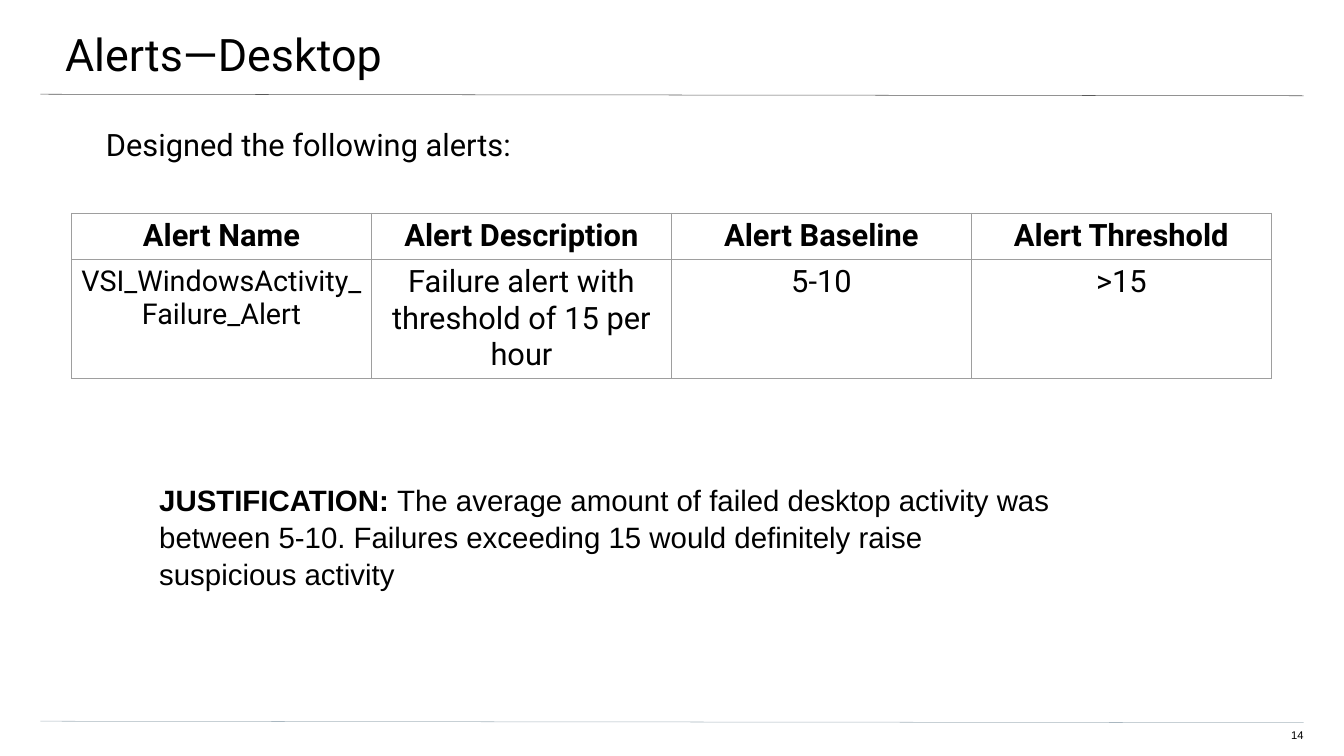
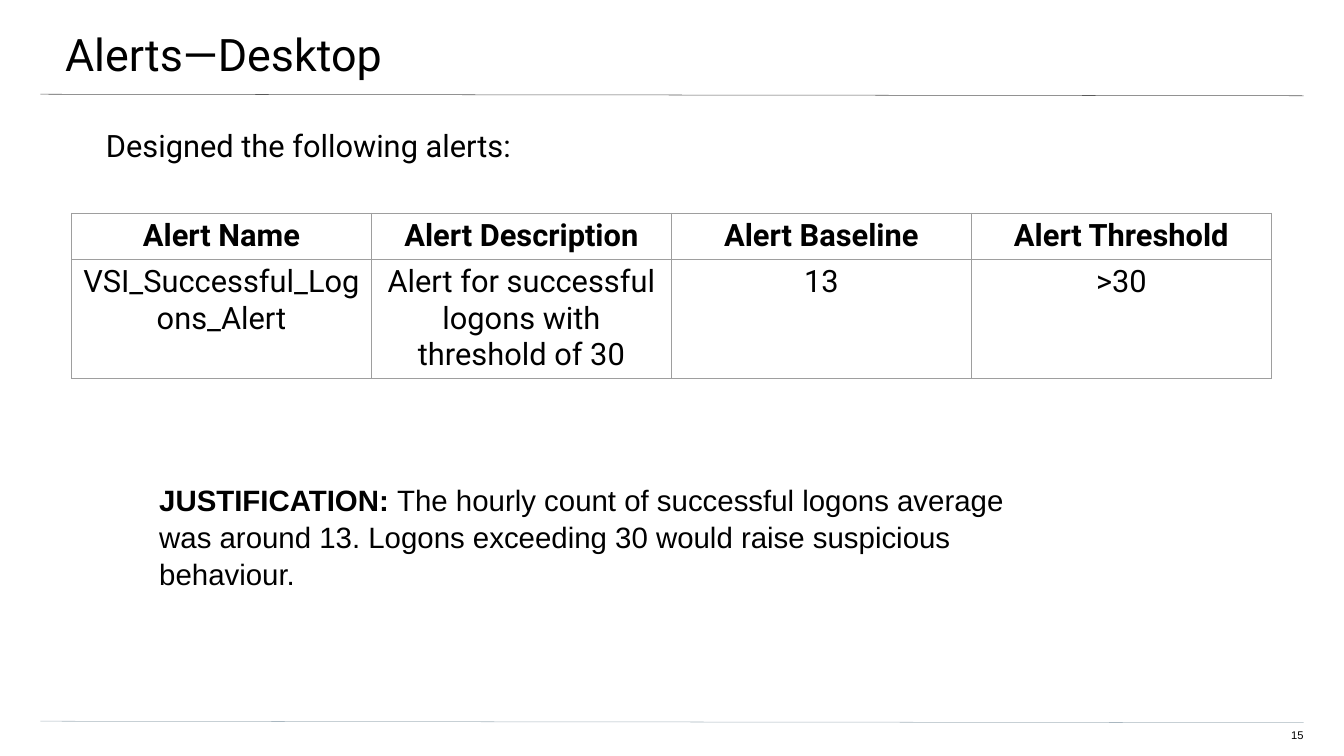
from dataclasses import dataclass

from lxml import etree
from pptx import Presentation
from pptx import util as u
from pptx.dml.color import RGBColor
from pptx.enum import shapes, text
from pptx.oxml import ns


@dataclass(frozen=True)
class Theme:
    ink: str = "000000"
    rule: str = "595959"
    base: str = "A9B7C0"
    grid: str = "9E9E9E"
    head: str = "Roboto"
    note: str = "Arial"
    title: int = 64
    body: int = 44
    small: int = 41
    reason: int = 42
    page: int = 16
    line: float = 0.75


LOOK = Theme()
PAD = (0.1, 0.1, 0.1, 0.1)
HEADS = ("Alert Name", "Alert Description", "Alert Baseline", "Alert Threshold")
ALERTS = (
    dict(
        page="14",
        top=2.49,
        row=("VSI_WindowsActivity_Failure_Alert",
             "Failure alert with threshold of 15 per hour", "5-10", ">15"),
        size=LOOK.small,
        tall=2.32,
        reason="The average amount of failed desktop activity was between 5-10. "
               "Failures exceeding 15 would definitely raise suspicious activity",
    ),
    dict(
        page="15",
        top=2.51,
        row=("VSI_Successful_Logons_Alert",
             "Alert for successful logons with threshold of 30", "13", ">30"),
        size=LOOK.body,
        tall=3.03,
        reason="The hourly count of successful logons average was around 13. "
               "Logons exceeding 30 would raise suspicious behaviour.",
    ),
)


def style(run, size, face, bold=False):
    font = run.font
    font.size, font.name, font.bold = u.Pt(size), face, bold
    font.color.rgb = RGBColor.from_string(LOOK.ink)


def inset(item, pads):
    (item.margin_left, item.margin_top,
     item.margin_right, item.margin_bottom) = map(u.Inches, pads)


def fill_frame(frame, words, size, face, pads, align=text.PP_ALIGN.LEFT):
    frame.text = words
    frame.word_wrap = True
    frame.auto_size = text.MSO_AUTO_SIZE.NONE
    frame.vertical_anchor = text.MSO_ANCHOR.TOP
    inset(frame, pads)
    para = frame.paragraphs[0]
    para.alignment = align
    style(para.runs[0], size, face)
    return para


def add_text(slide, area, *args):
    box = slide.shapes.add_textbox(*map(u.Inches, area))
    return fill_frame(box.text_frame, *args)


def add_title(slide, words):
    title = slide.shapes.title
    title.left, title.top, title.width, title.height = map(
        u.Inches, (-0.04, 0, 26.73, 1.56))
    fill_frame(title.text_frame, words, LOOK.title, LOOK.head,
               (1.33, 0.53, 0.8, 0.27))


def add_rule(slide, top, color):
    ends = map(u.Inches, (0.8, top, 25.86, top + 0.03))
    rule = slide.shapes.add_connector(shapes.MSO_CONNECTOR.STRAIGHT, *ends)
    rule.line.color.rgb = RGBColor.from_string(color)
    rule.line.width = u.Pt(LOOK.line)
    etree.SubElement(rule._element.spPr, ns.qn("a:effectLst"))


def add_edges(cell):
    props = cell._tc.get_or_add_tcPr()
    for side in ("lnL", "lnR", "lnT", "lnB"):
        edge = etree.SubElement(props, ns.qn("a:" + side), w=str(u.Pt(LOOK.line)))
        paint = etree.SubElement(edge, ns.qn("a:solidFill"))
        etree.SubElement(paint, ns.qn("a:srgbClr"), val=LOOK.grid)


def fill_cell(cell, words, size, bold):
    cell.text = words
    inset(cell, PAD)
    add_edges(cell)
    cell.fill.background()
    para = cell.text_frame.paragraphs[0]
    para.alignment = text.PP_ALIGN.CENTER
    style(para.runs[0], size, LOOK.head, bold)


def add_grid(slide, row, size):
    area = map(u.Inches, (1.42, 4.23, 23.8, 1.35))
    grid = slide.shapes.add_table(2, len(HEADS), *area).table
    grid.horz_banding = False
    for line, high in zip(grid.rows, (0.42, 0.93)):
        line.height = u.Inches(high)
    for col, (head, value) in enumerate(zip(HEADS, row)):
        grid.columns[col].width = u.Inches(5.95)
        fill_cell(grid.cell(0, col), head, LOOK.body, True)
        fill_cell(grid.cell(1, col), value, LOOK.body if col else size, False)


def add_reason(slide, words, tall):
    para = add_text(slide, (3.06, 9.43, 18.12, tall), "JUSTIFICATION: ",
                    LOOK.reason, LOOK.note, PAD)
    para.line_spacing = 1.05
    para.runs[0].font.bold = True
    run = para.add_run()
    run.text = words
    style(run, LOOK.reason, LOOK.note)


def add_alert(deck, page, top, row, size, tall, reason):
    slide = deck.slides.add_slide(deck.slide_layouts[5])
    add_rule(slide, 1.87, LOOK.rule)
    add_rule(slide, 14.31, LOOK.base)
    add_title(slide, "Alerts—Desktop")
    add_text(slide, (25.1, 14.46, 0.76, 0.31), page, LOOK.page, LOOK.note,
             (0, 0, 0, 0.27), text.PP_ALIGN.RIGHT)
    add_text(slide, (0.77, top, 25.09, 10.79), "Designed the following alerts:",
             LOOK.body, LOOK.head, (1.33, 0, 1.33, 2.67))
    add_grid(slide, row, size)
    add_reason(slide, reason, tall)


def main():
    deck = Presentation()
    deck.slide_width, deck.slide_height = u.Inches(26.66), u.Inches(15)
    for alert in ALERTS:
        add_alert(deck, **alert)
    deck.save("out.pptx")


if __name__ == "__main__":
    main()
